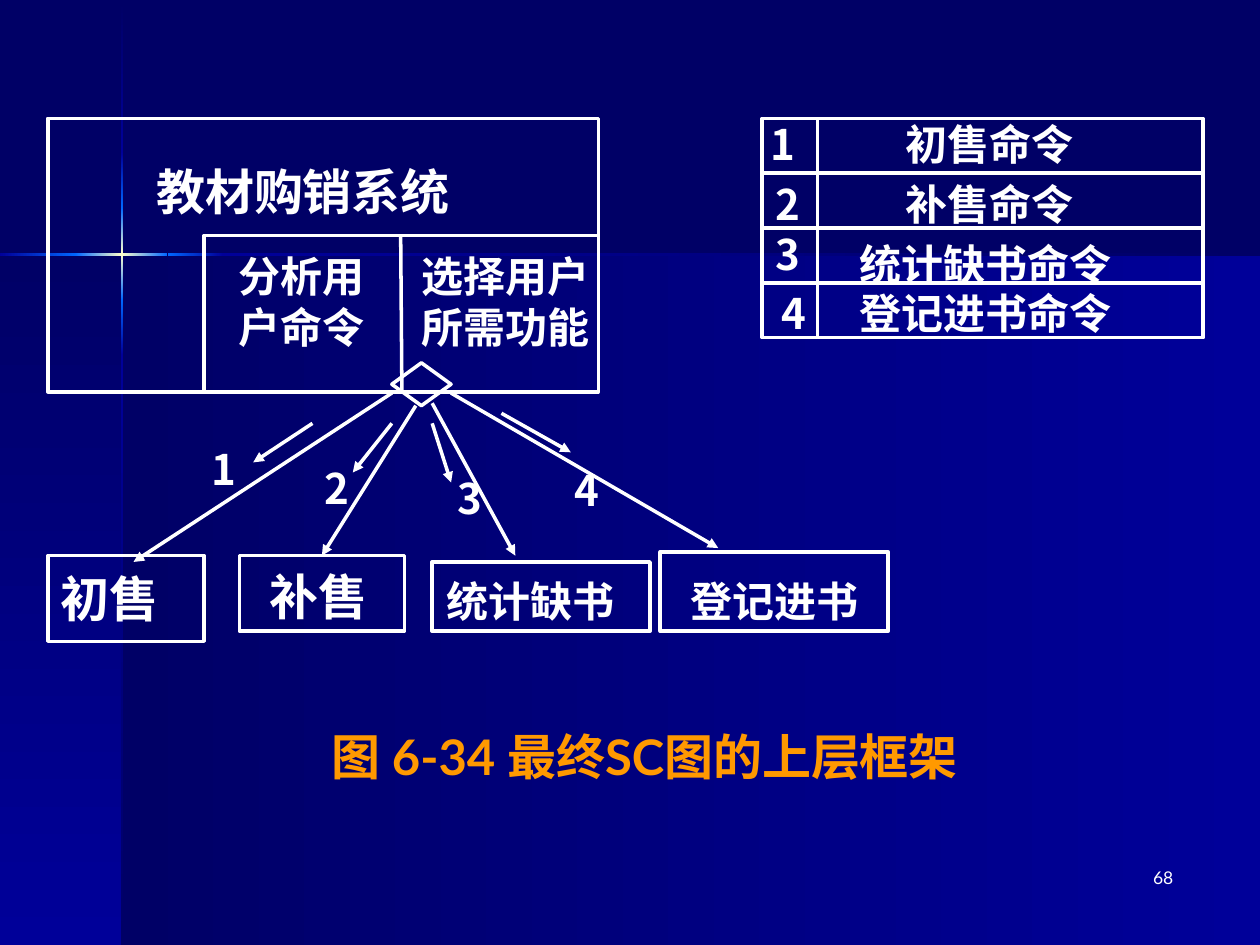
from lxml.etree import SubElement
from pptx import Presentation
from pptx.dml.color import RGBColor
from pptx.enum.shapes import MSO_CONNECTOR as Connector, MSO_SHAPE as Preset
from pptx.enum.text import MSO_ANCHOR as Anchor, PP_ALIGN as Align
from pptx.oxml import parse_xml
from pptx.oxml.ns import nsdecls, qn
from pptx.util import Inches, Pt

WHITE, ORANGE = "FFFFFF", "FF9900"
NAVY, BLUE, BRIGHT, CREAM = "000066", "000099", "0066FF", "FFFFCC"
LATO, NOTO = "Lato", "Noto Sans CJK SC"
DOWN, LEFTWARD = 90, 180

PANELS = [
    ((0.97, 2.02, 9.03, 5.48), (BLUE, NAVY), LEFTWARD),
    ((0, 2.02, 0.97, 5.48), (NAVY, BLUE), DOWN),
    ((0.96, 0.01, 0.02, 1.2), (NAVY, BLUE), DOWN),
    ((0.96, 2.82, 0.02, 4.68), (BLUE, NAVY), DOWN),
    ((1.77, 2.01, 8.23, 0.02), (NAVY, BLUE), LEFTWARD),
    ((0.96, 2.38, 0.02, 0.44), (BRIGHT, BLUE), DOWN),
    ((0.96, 1.21, 0.02, 0.44), (BLUE, BRIGHT), DOWN),
    ((0.96, 1.65, 0.02, 0.73), (BRIGHT, CREAM, BRIGHT), DOWN),
    ((0, 2.01, 0.61, 0.02), (BRIGHT, BLUE), LEFTWARD),
    ((1.33, 2.01, 0.44, 0.02), (BLUE, BRIGHT), LEFTWARD),
    ((0.6, 2.01, 0.73, 0.02), (BRIGHT, CREAM, BRIGHT), LEFTWARD),
]
MODULES = [
    ("初售", (0.38, 4.41, 1.24, 0.68), (0.43, 4.51, 0.88, 0.47), 28),
    ("补售", (1.9, 4.41, 1.31, 0.6), (2.09, 4.46, 0.87, 0.47), 28),
    ("统计缺书", (3.43, 4.46, 1.73, 0.55), (3.5, 4.54, 1.42, 0.4), 24),
    ("登记进书", (5.24, 4.38, 1.81, 0.63), (5.24, 4.54, 1.81, 0.4), 24),
]
CALLS = [
    ((3.11, 3.12), (1.06, 4.46)),
    ((3.3, 3.22), (2.56, 4.41)),
    ((3.43, 3.2), (4.09, 4.41)),
    ((3.58, 3.12), (5.7, 4.35)),
]
FLOWS = [
    ("1", (1.53, 3.44, 0.49, 0.5), (2.48, 3.36), (2.01, 3.67)),
    ("2", (2.48, 3.59, 0.3, 0.5), (3.11, 3.36), (2.8, 3.75)),
    ("3", (3.53, 3.67, 0.37, 0.5), (3.43, 3.36), (3.58, 3.83)),
    ("4", (4.46, 3.61, 0.39, 0.5), (3.98, 3.28), (4.53, 3.59)),
]
COMMANDS = [
    ("1", (6.02, 0.91, 0.39, 0.4), "初售命令", (7.18, 0.91, 1.34, 0.4)),
    ("2", (6.1, 1.39, 0.31, 0.4), "补售命令", (7.18, 1.39, 1.34, 0.4)),
    ("3", (6.02, 1.78, 0.47, 0.4), "统计缺书命令", (6.65, 1.86, 2.35, 0.4)),
    ("4", (6.18, 2.25, 0.24, 0.4), "登记进书命令", (6.65, 2.25, 2.35, 0.4)),
]


def colour(value):
    """Turn a hex string into a colour."""
    return RGBColor.from_string(value)


def inches(values):
    """Turn plain numbers into lengths."""
    return [Inches(value) for value in values]


def apply(target, values):
    """Set attributes from a dict of format values."""
    for name, value in values.items():
        setattr(target, name, value)


def set_line(shape):
    """Give a shape the white diagram line."""
    shape.line.color.rgb = colour(WHITE)
    shape.line.width = Pt(2)


def add_panel(page, at, stops, angle):
    """Add a borderless rectangle with a linear gradient."""
    panel = page.shapes.add_shape(Preset.RECTANGLE, *inches(at))
    panel.shadow.inherit = False
    panel.line.fill.background()
    step = 100000 // (len(stops) - 1)
    marks = "".join(
        f'<a:gs pos="{index * step}"><a:srgbClr val="{stop}"/></a:gs>'
        for index, stop in enumerate(stops)
    )
    gradient = parse_xml(
        f'<a:gradFill {nsdecls("a")}><a:gsLst>{marks}</a:gsLst>'
        f'<a:lin ang="{angle * 60000}" scaled="0"/></a:gradFill>'
    )
    panel._element.spPr.find(qn("a:prstGeom")).addnext(gradient)


def add_outline(page, at, preset=Preset.RECTANGLE):
    """Add an unfilled shape with a white line."""
    box = page.shapes.add_shape(preset, *inches(at))
    box.shadow.inherit = False
    box.fill.background()
    set_line(box)
    return box


def add_bracket(page, points):
    """Add an open white polyline."""
    start, *rest = [inches(point) for point in points]
    builder = page.shapes.build_freeform(*start, scale=1.0)
    builder.add_line_segments(rest, close=False)
    bracket = builder.convert_to_shape()
    bracket.shadow.inherit = False
    bracket.fill.background()
    set_line(bracket)


def add_line(page, start, end, arrow=True):
    """Add a straight white line, with an arrowhead unless refused."""
    line = page.shapes.add_connector(Connector.STRAIGHT, *inches(start + end))
    set_line(line)
    if arrow:
        SubElement(line.line._get_or_add_ln(), qn("a:tailEnd"), type="triangle")
    SubElement(line._element.spPr, qn("a:effectLst"))
    return line


def add_label(page, text, at, size=24, face=NOTO, inset=(0, 0), tint=WHITE,
              bold=True, align=Align.CENTER):
    """Add a text box with one paragraph for each line of text."""
    box = page.shapes.add_textbox(*inches(at))
    across, along = inches(inset)
    frame = box.text_frame
    apply(frame, {
        "word_wrap": True, "vertical_anchor": Anchor.TOP,
        "margin_left": across, "margin_right": across,
        "margin_top": along, "margin_bottom": along,
    })
    frame.text = text
    for para in frame.paragraphs:
        para.alignment = align
        if face == NOTO:
            para.line_spacing = Pt(round(size * 1.29))
        for span in para.runs:
            apply(span.font, {"name": face, "size": Pt(size), "bold": bold})
            span.font.color.rgb = colour(tint)
            SubElement(span.font._element, qn("a:ea"), typeface=face)


def add_system(page):
    """Draw the top module with its two parts and the decision diamond."""
    add_outline(page, (0.38, 0.94, 4.37, 2.17))
    add_bracket(page, [(4.74, 1.87), (1.62, 1.87), (1.62, 3.11)])
    add_line(page, (3.18, 1.87), (3.19, 3.11), arrow=False)
    add_label(page, "教材购销系统", (1.19, 1.25, 2.43, 0.47), 28)
    add_outline(page, (3.11, 2.88, 0.47, 0.34), Preset.DIAMOND)
    part = {"face": LATO, "inset": (0.1, 0.05)}
    add_label(page, "选择用户\n所需功能", (3.11, 1.94, 1.81, 0.9), **part)
    add_label(page, "分析用\n户命令", (1.61, 1.94, 1.57, 0.9), **part)


def add_modules(page):
    """Draw the lower modules, their calls and the numbered flows."""
    boxes = []
    for text, box_at, text_at, size in MODULES:
        boxes.append(add_outline(page, box_at))
        face = LATO if text == "初售" else NOTO
        add_label(page, text, text_at, size, face)
    calls = [add_line(page, start, end) for start, end in CALLS]
    calls[1].end_connect(boxes[1], 0)
    for number, at, start, end in FLOWS:
        add_label(page, number, at, inset=(0.1, 0.05))
        add_line(page, start, end)


def add_commands(page):
    """Draw the numbered list of commands as a grid of cells."""
    left, top, number_width, command_width = 6.05, 0.94, 0.44, 3.06
    height = 1.74 / len(COMMANDS)
    for row, (number, number_at, command, command_at) in enumerate(COMMANDS):
        y = top + row * height
        add_outline(page, (left, y, number_width, height))
        add_outline(page, (left + number_width, y, command_width, height))
        add_label(page, number, number_at)
        add_label(page, command, command_at)


def main():
    """Build the slide and save it."""
    deck = Presentation()
    deck.slide_width, deck.slide_height = inches((10, 7.5))
    page = deck.slides.add_slide(deck.slide_layouts[6])
    page.background.fill.solid()
    page.background.fill.fore_color.rgb = colour(NAVY)
    for panel in PANELS:
        add_panel(page, *panel)
    add_label(page, "图 6-34 最终SC图的上层框架", (1.53, 5.72, 7.17, 0.57), 28,
              LATO, (0.1, 0.05), ORANGE)
    add_system(page)
    add_modules(page)
    add_commands(page)
    add_label(page, "68", (7.33, 6.83, 2.08, 0.5), 10, LATO, (0.1, 0.05),
              bold=False, align=Align.RIGHT)
    deck.save("out.pptx")


if __name__ == "__main__":
    main()
